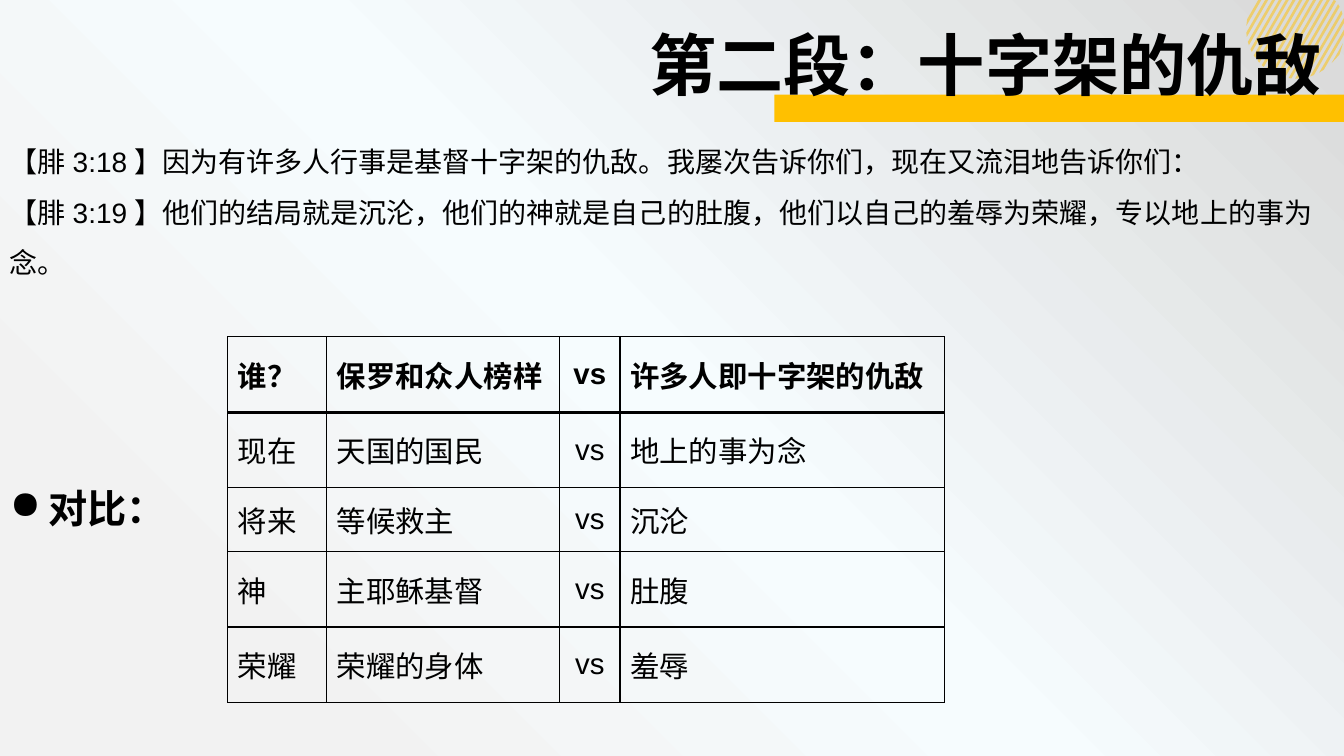
import math
from dataclasses import dataclass

import lxml.etree
import pptx
import pptx.dml.color
import pptx.enum.lang
import pptx.enum.shapes
import pptx.enum.text
import pptx.oxml
import pptx.oxml.ns
import pptx.util

Inches = pptx.util.Inches
Pt = pptx.util.Pt
qn = pptx.oxml.ns.qn

COLORS = {
    "gold": "FFC000",
    "black": "000000",
    "corner": "F2F2F2",
    "middle": "F6FCFE",
    "edge": "D9D9D9",
}
FONT = {
    "name": "Arial",
    "language_id": pptx.enum.lang.MSO_LANGUAGE_ID.SIMPLIFIED_CHINESE,
}
LEFT = pptx.enum.text.PP_ALIGN.LEFT
CENTER = pptx.enum.text.PP_ALIGN.CENTER


@dataclass
class Line:
    text: str
    size: int
    bold: bool = False
    line_spacing: float = 1.0
    space_before: int = 0
    bullet: str = ""


@dataclass
class Box:
    left: float
    top: float
    width: float
    height: float
    lines: list[Line]


@dataclass
class Column:
    width: float
    alignment: pptx.enum.text.PP_ALIGN
    entries: list[str]


@dataclass
class Circle:
    x: float
    y: float
    radius: float


BOXES = [
    Box(6.34, 0.18, 7.65, 0.91, [Line("第二段：十字架的仇敌", 48, bold=True)]),
    Box(0, 1.22, 13.33, 4.1, [
        Line("【腓3:18】因为有许多人行事是基督十字架的仇敌。我屡次告诉你们，现在又流泪地告诉你们：",
             20, line_spacing=1.5),
        Line("【腓3:19】他们的结局就是沉沦，他们的神就是自己的肚腹，他们以自己的羞辱为荣耀，专以地上的事为念。",
             20, line_spacing=1.5),
        Line("对比：", 28, bold=True, line_spacing=1.25, space_before=138, bullet="●"),
    ]),
]
COLUMNS = [
    Column(0.98, LEFT, ["谁？", "现在", "将来", "神", "荣耀"]),
    Column(2.31, LEFT, ["保罗和众人榜样", "天国的国民", "等候救主", "主耶稣基督", "荣耀的身体"]),
    Column(0.6, CENTER, ["vs"] * 5),
    Column(3.22, LEFT, ["许多人即十字架的仇敌", "地上的事为念", "沉沦", "肚腹", "羞辱"]),
]
ROW_HEIGHTS = [0.75, 0.75, 0.63, 0.75, 0.75]
STRIPED_CIRCLE = Circle(12.85, 0.29, 0.49)
STRIPE_COUNT = 17
STRIPE_START = 12.48
STRIPE_STEP = 0.07 - 0.002
STRIPE_WIDTH = 0.03
STRIPE_SLOPE = math.tan(math.radians(30))


def rgb(name: str) -> pptx.dml.color.RGBColor:
    return pptx.dml.color.RGBColor.from_string(COLORS[name])


def apply(target: object, values: dict) -> None:
    for name, value in values.items():
        setattr(target, name, value)


def fill_background(slide: pptx.slide.Slide) -> None:
    slide.background.fill.solid()
    solid = slide.element.xpath("p:cSld/p:bg/p:bgPr/a:solidFill")[0]
    gradient = pptx.oxml.parse_xml(
        f'<a:gradFill xmlns:a="{pptx.oxml.ns.nsdecls("a").split(chr(34))[1]}" rotWithShape="1"><a:gsLst>'
        f'<a:gs pos="15000"><a:srgbClr val="{COLORS["corner"]}"/></a:gs>'
        f'<a:gs pos="50000"><a:srgbClr val="{COLORS["middle"]}"><a:alpha val="27000"/></a:srgbClr></a:gs>'
        f'<a:gs pos="100000"><a:srgbClr val="{COLORS["edge"]}"/></a:gs></a:gsLst>'
        '<a:path path="circle"><a:fillToRect t="100000" r="100000"/></a:path></a:gradFill>'
    )
    solid.getparent().replace(solid, gradient)


def paint_gold(shape: pptx.shapes.autoshape.Shape) -> None:
    shape.shadow.inherit = False
    shape.fill.solid()
    shape.fill.fore_color.rgb = rgb("gold")
    shape.line.fill.background()


def chord(start: float, circle: Circle) -> list[tuple[float, float]]:
    offset = start - circle.x
    square = 1 + STRIPE_SLOPE ** 2
    middle = (STRIPE_SLOPE * offset + circle.y) / square
    rest = (offset ** 2 + circle.y ** 2 - circle.radius ** 2) / square
    half = math.sqrt(max(0, middle ** 2 - rest))
    heights = max(0, middle - half), middle + half
    return [(start - STRIPE_SLOPE * height, height) for height in heights]


def draw_stripe(slide: pptx.slide.Slide, start: float) -> None:
    left_edge = chord(start, STRIPED_CIRCLE)
    right_edge = chord(start + STRIPE_WIDTH, STRIPED_CIRCLE)
    points = [(Inches(x), Inches(y)) for x, y in left_edge + right_edge[::-1]]
    builder = slide.shapes.build_freeform(*points[0])
    builder.add_line_segments(points[1:], close=True)
    shape = builder.convert_to_shape()
    paint_gold(shape)
    color = shape.element.spPr.find(qn("a:solidFill"))[0]
    lxml.etree.SubElement(color, qn("a:alpha")).set("val", "50000")


def write_line(paragraph: pptx.text.text._Paragraph, line: Line) -> None:
    if line.bullet:
        properties = paragraph._p.get_or_add_pPr()
        properties.set("marL", str(Inches(0.38)))
        properties.set("indent", str(-Inches(0.38)))
        lxml.etree.SubElement(properties, qn("a:buChar")).set("char", line.bullet)
    apply(paragraph, {"line_spacing": line.line_spacing, "space_before": Pt(line.space_before)})
    run = paragraph.add_run()
    run.text = line.text
    apply(run.font, FONT | {"size": Pt(line.size), "bold": line.bold})
    run.font.color.rgb = rgb("black")


def draw_box(slide: pptx.slide.Slide, box: Box) -> None:
    shape = slide.shapes.add_textbox(*map(Inches, (box.left, box.top, box.width, box.height)))
    frame = shape.text_frame
    apply(frame, {"word_wrap": True, "auto_size": pptx.enum.text.MSO_AUTO_SIZE.SHAPE_TO_FIT_TEXT})
    for index, line in enumerate(box.lines):
        write_line(frame.add_paragraph() if index else frame.paragraphs[0], line)


def draw_borders(cell: pptx.table._Cell, widths: dict[str, int]) -> None:
    properties = cell._tc.get_or_add_tcPr()
    for index, (side, width) in enumerate(widths.items()):
        border = lxml.etree.Element(qn(f"a:{side}"), w=str(Pt(width)))
        fill = lxml.etree.SubElement(border, qn("a:solidFill"))
        lxml.etree.SubElement(fill, qn("a:srgbClr")).set("val", COLORS["black"])
        properties.insert(index, border)


def draw_comparison(slide: pptx.slide.Slide) -> None:
    width = sum(column.width for column in COLUMNS)
    table = slide.shapes.add_table(
        len(ROW_HEIGHTS), len(COLUMNS),
        Inches(2.26), Inches(3.34), Inches(width), Inches(sum(ROW_HEIGHTS))).table
    apply(table, {"first_row": False, "horz_banding": False})
    for row, height in zip(table.rows, ROW_HEIGHTS):
        row.height = Inches(height)
    margins = {f"margin_{side}": Inches(0.1) for side in ("left", "top", "right", "bottom")}
    for column_index, column in enumerate(COLUMNS):
        table.columns[column_index].width = Inches(column.width)
        for row_index, text in enumerate(column.entries):
            header = row_index == 0
            cell = table.cell(row_index, column_index)
            apply(cell, margins | {"vertical_anchor": pptx.enum.text.MSO_ANCHOR.MIDDLE})
            cell.fill.background()
            draw_borders(cell, {"lnL": 1, "lnR": 1, "lnT": 1, "lnB": 2 if header else 1})
            paragraph = cell.text_frame.paragraphs[0]
            paragraph.alignment = column.alignment
            write_line(paragraph, Line(text, 21, bold=header))


def main() -> None:
    presentation = pptx.Presentation()
    apply(presentation, {"slide_width": Inches(13.33), "slide_height": Inches(7.5)})
    slide = presentation.slides.add_slide(presentation.slide_layouts[6])
    fill_background(slide)
    for index in range(STRIPE_COUNT):
        draw_stripe(slide, STRIPE_START + index * STRIPE_STEP)
    paint_gold(slide.shapes.add_shape(
        pptx.enum.shapes.MSO_SHAPE.RECTANGLE, *map(Inches, (7.68, 0.94, 5.65, 0.27))))
    for box in BOXES:
        draw_box(slide, box)
    draw_comparison(slide)
    presentation.save("out.pptx")


if __name__ == "__main__":
    main()
